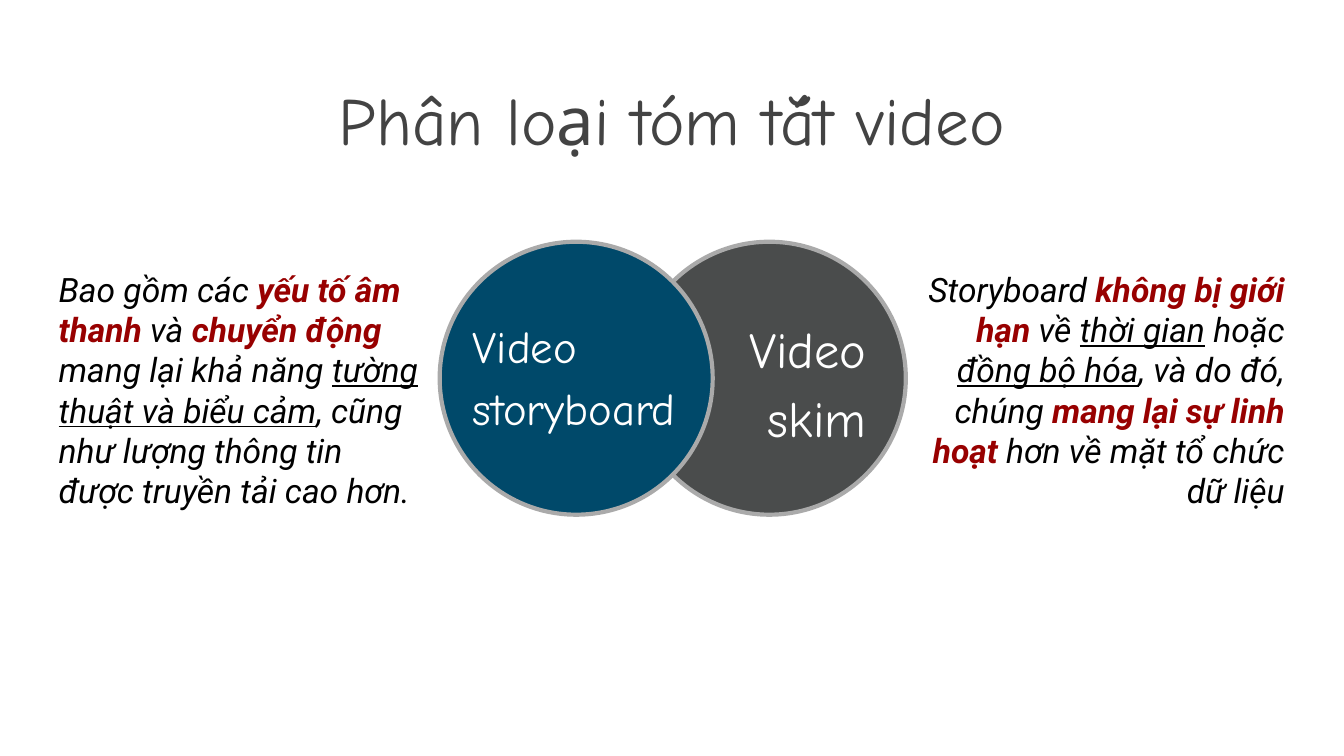
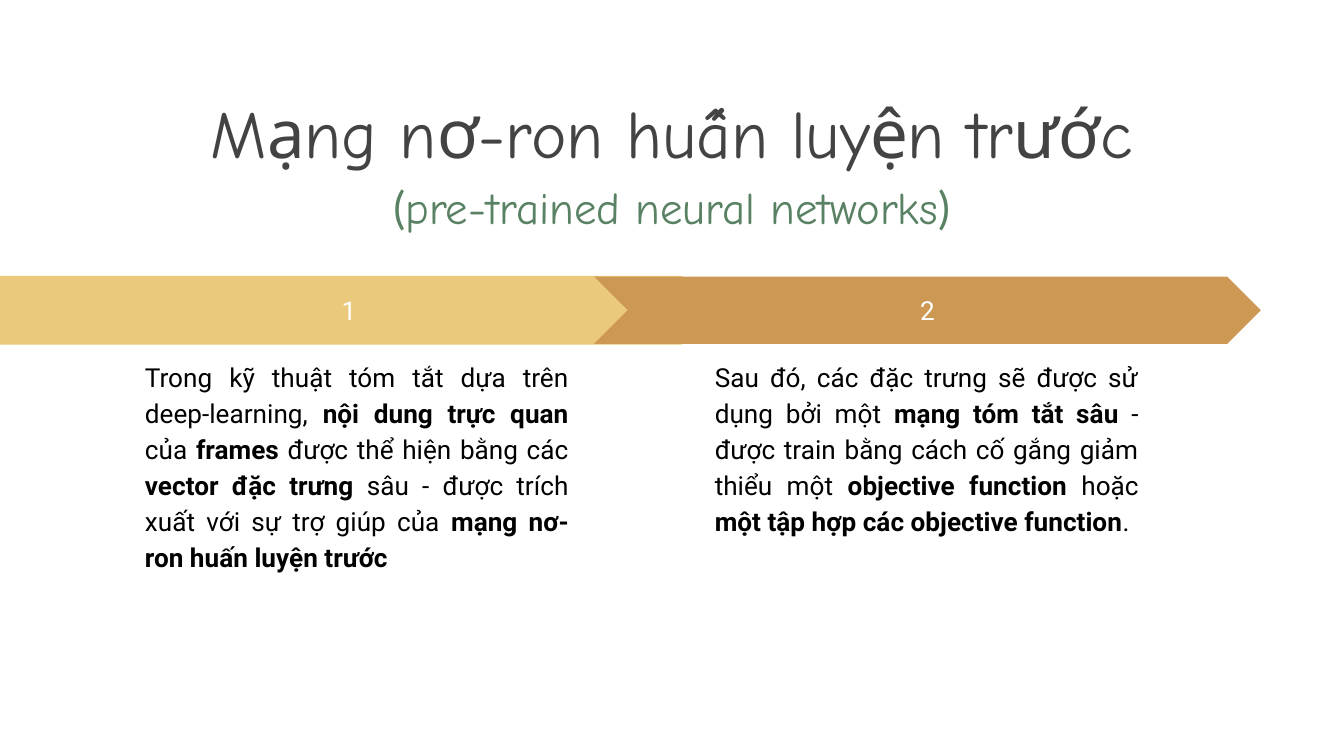
from pptx import Presentation
from pptx.dml.color import RGBColor
from pptx.enum.shapes import MSO_SHAPE
from pptx.enum.text import MSO_ANCHOR, MSO_AUTO_SIZE, PP_ALIGN
from pptx.util import Cm, Pt

LEFT, CENTER, RIGHT, JUSTIFY = PP_ALIGN.LEFT, PP_ALIGN.CENTER, PP_ALIGN.RIGHT, PP_ALIGN.JUSTIFY
TOP, MIDDLE = MSO_ANCHOR.TOP, MSO_ANCHOR.MIDDLE
FIT_SHAPE = MSO_AUTO_SIZE.SHAPE_TO_FIT_TEXT
OVAL, PENTAGON, CHEVRON = MSO_SHAPE.OVAL, MSO_SHAPE.PENTAGON, MSO_SHAPE.CHEVRON

WHITE = RGBColor(0xFF, 0xFF, 0xFF)
BLACK = RGBColor(0x00, 0x00, 0x00)
TITLE_GREY = RGBColor(0x43, 0x43, 0x43)
CIRCLE_GREY = RGBColor(0x4A, 0x4C, 0x4C)
RIM_GREY = RGBColor(0xAA, 0xAA, 0xAA)
BLUE = RGBColor(0x00, 0x49, 0x6A)
RED = RGBColor(0x98, 0x00, 0x00)
GREEN = RGBColor(0x59, 0x81, 0x63)
SAND = RGBColor(0xEA, 0xC8, 0x7C)
OCHRE = RGBColor(0xCD, 0x98, 0x54)

# Run styles: font, size, colour, marks (b bold, i italic, u underline)
TITLE = ("Comic Neue", 36, TITLE_GREY, "")
SUBTITLE = ("Comic Neue", 24, GREEN, "")
BRACKET = ("Lato", 24, GREEN, "")
NOTE = ("Roboto", 18, BLACK, "i")
NOTE_KEY = ("Roboto", 18, RED, "bi")
NOTE_LINE = ("Roboto", 18, BLACK, "iu")
STEP_NUMBER = ("Roboto", 14, WHITE, "")
BODY = ("Roboto", 14, BLACK, "")
BODY_KEY = ("Roboto", 14, BLACK, "b")

TITLE_BOX = (0.86, 1.24, 23.67, 1.6)


def write(shape, paragraphs, align, spacing=1.0, anchor=TOP):
    frame = shape.text_frame
    frame.word_wrap = True
    frame.vertical_anchor = anchor
    frame.margin_left = frame.margin_right = Cm(0.25)
    frame.margin_top = frame.margin_bottom = Cm(0.25)
    for index, runs in enumerate(paragraphs):
        paragraph = frame.add_paragraph() if index else frame.paragraphs[0]
        paragraph.alignment = align
        paragraph.line_spacing = spacing
        for text, (font, size, color, marks) in runs:
            run = paragraph.add_run()
            run.text = text
            run.font.name = font
            run.font.size = Pt(size)
            run.font.color.rgb = color
            run.font.bold = "b" in marks
            run.font.italic = "i" in marks
            run.font.underline = "u" in marks


def add_filled(slide, preset, box, fill, rim=None, rim_width=0.75):
    shape = slide.shapes.add_shape(preset, *map(Cm, box))
    shape.shadow.inherit = False
    shape.fill.solid()
    shape.fill.fore_color.rgb = fill
    if rim is None:
        shape.line.fill.background()
    else:
        shape.line.color.rgb = rim
        shape.line.width = Pt(rim_width)
    return shape


prs = Presentation()
prs.slide_width, prs.slide_height = Cm(25.4), Cm(14.29)
blank = prs.slide_layouts[6]

# Slide 1: kinds of video summary
kinds = prs.slides.add_slide(blank)
title = kinds.shapes.add_textbox(*map(Cm, TITLE_BOX))
write(title, [[("Phân loại tóm tắt video", TITLE)]], CENTER)

# Overlapping circles, the left one in front
for circle_left, color in ((11.96, CIRCLE_GREY), (8.31, BLUE)):
    add_filled(kinds, OVAL, (circle_left, 4.57, 5.16, 5.16), color, RIM_GREY, 2.25)

# Circle labels
labels = (
    ("Video storyboard", 24, (8.69, 6.32, 4.37, 1.45), LEFT),
    ("Video skim", 27, (13.44, 6.43, 3.18, 1.45), RIGHT),
)
for name, size, box, align in labels:
    label = kinds.shapes.add_textbox(*map(Cm, box))
    write(label, [[(name, ("Comic Neue", size, WHITE, ""))]], align, 1.15, MIDDLE)

# Descriptions on either side
storyboard_runs = [
    ("Bao gồm các ", NOTE),
    ("yếu tố âm thanh", NOTE_KEY),
    (" và ", NOTE),
    ("chuyển động", NOTE_KEY),
    (" mang lại khả năng ", NOTE),
    ("tường thuật và biểu cảm", NOTE_LINE),
    (", cũng như lượng thông tin được truyền tải cao hơn.", NOTE),
]
skim_runs = [
    ("Storyboard ", NOTE),
    ("không bị giới hạn", NOTE_KEY),
    (" về ", NOTE),
    ("thời gian", NOTE_LINE),
    (" hoặc ", NOTE),
    ("đồng bộ hóa", NOTE_LINE),
    (", và do đó, chúng ", NOTE),
    ("mang lại sự linh hoạt", NOTE_KEY),
    (" hơn về mặt tổ chức dữ liệu", NOTE),
]
descriptions = (
    (storyboard_runs, 0.86, 5.89, LEFT),
    (skim_runs, 17.09, 5.13, RIGHT),
)
for runs, left, height, align in descriptions:
    description = kinds.shapes.add_textbox(Cm(left), Cm(4.83), Cm(7.44), Cm(height))
    write(description, [runs], align)
    description.text_frame.auto_size = FIT_SHAPE

# Slide 2: pre-trained networks in two steps
networks = prs.slides.add_slide(blank)
title = networks.shapes.add_textbox(*map(Cm, TITLE_BOX))
subtitle_runs = [("(", BRACKET), ("pre-trained neural networks", SUBTITLE), (")", BRACKET)]
write(title, [[("Mạng nơ-ron huấn luyện trước", TITLE)], subtitle_runs], CENTER, 1.15)

feature_runs = [
    ("Trong kỹ thuật tóm tắt dựa trên deep-learning, ", BODY),
    ("nội dung trực quan", BODY_KEY),
    (" của ", BODY),
    ("frames ", BODY_KEY),
    ("được thể hiện bằng các ", BODY),
    ("vector đặc trưng", BODY_KEY),
    (" sâu - được trích xuất với sự trợ giúp của ", BODY),
    ("mạng nơ-ron huấn luyện trước", BODY_KEY),
]
training_runs = [
    ("Sau đó, các đặc trưng sẽ được sử dụng bởi một ", BODY),
    ("mạng tóm tắt sâu", BODY_KEY),
    (" - được train bằng cách cố gắng giảm thiểu một ", BODY),
    ("objective function", BODY_KEY),
    (" hoặc ", BODY),
    ("một tập hợp các objective function", BODY_KEY),
    (".", BODY),
]

# Step arrows with their explanations
steps = (
    (PENTAGON, 0, 13.51, SAND, SAND, 2.49, feature_runs),
    (CHEVRON, 11.23, 12.6, OCHRE, None, 13.26, training_runs),
)
for number, (preset, left, width, fill, rim, text_left, runs) in enumerate(steps, 1):
    arrow = add_filled(networks, preset, (left, 5.23, width, 1.27), fill, rim)
    arrow.adjustments[0] = 0.5
    write(arrow, [[(str(number), STEP_NUMBER)]], CENTER, anchor=MIDDLE)
    explanation = networks.shapes.add_textbox(Cm(text_left), Cm(6.49), Cm(8.51), Cm(8.41))
    write(explanation, [runs], JUSTIFY, 1.15)

prs.save("out.pptx")
